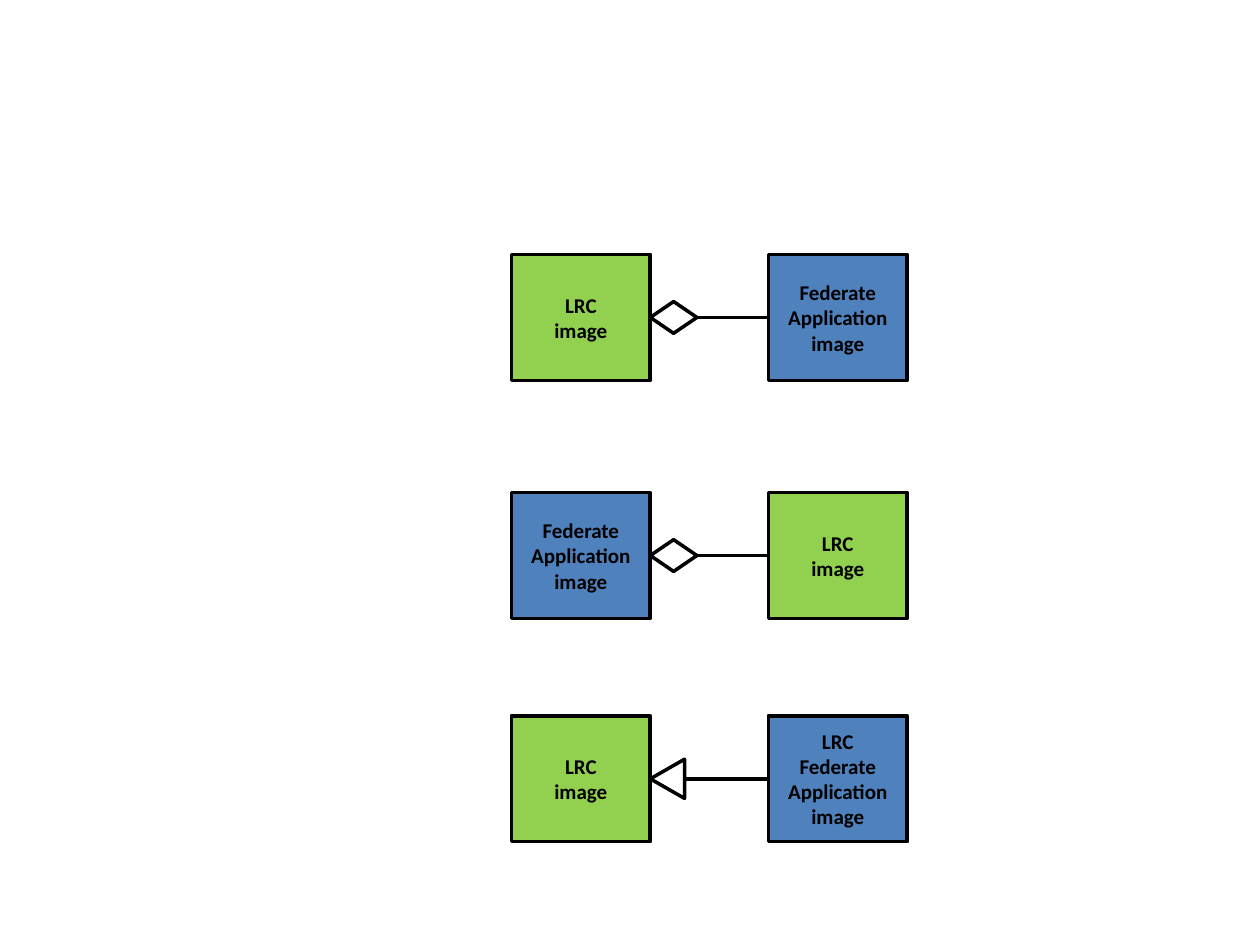
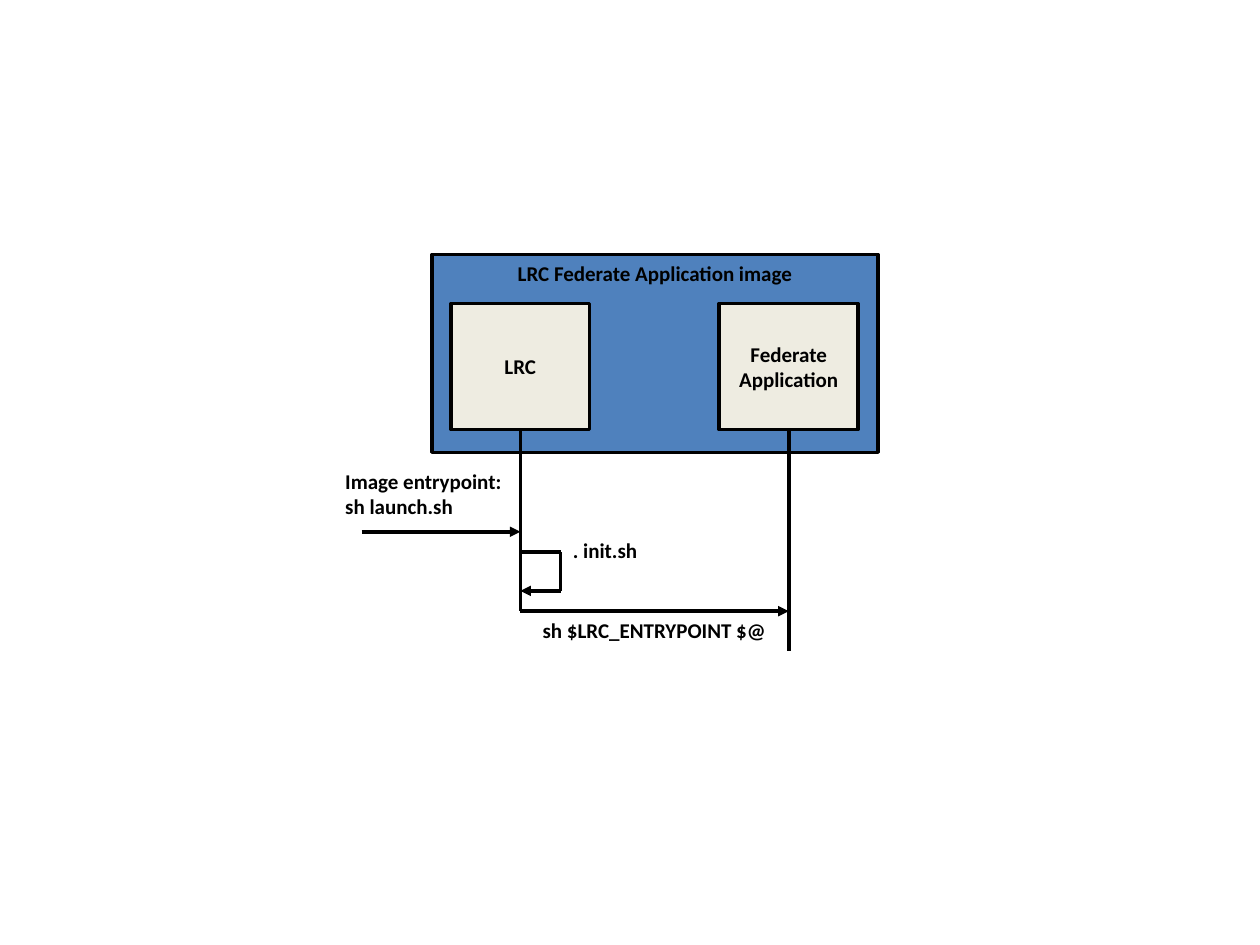
from lxml.etree import SubElement
from pptx import Presentation
from pptx.dml.color import RGBColor
from pptx.enum.shapes import MSO_CONNECTOR, MSO_SHAPE
from pptx.enum.text import MSO_ANCHOR, MSO_AUTO_SIZE, PP_ALIGN
from pptx.oxml.ns import qn
from pptx.util import Cm, Pt

BLACK = RGBColor(0x00, 0x00, 0x00)
WHITE = RGBColor(0xFF, 0xFF, 0xFF)
GREEN = RGBColor(0x92, 0xD0, 0x50)
BLUE = RGBColor(0x4F, 0x81, 0xBD)
CREAM = RGBColor(0xEE, 0xEC, 0xE1)

# Lengths in cm
BOX_W, BOX_H = 2.8, 2.54
DIAMOND_W, DIAMOND_H = 0.94, 0.64
TRI_BASE, TRI_DEPTH = 0.79, 0.69


def write(tf, text, size=12, bold=True, color=BLACK, font="Calibri",
          align=PP_ALIGN.CENTER):
    """Fill a text frame, one paragraph per line of text."""
    for i, line in enumerate(text.split("\n")):
        p = tf.paragraphs[0] if i == 0 else tf.add_paragraph()
        p.alignment = align
        r = p.add_run()
        r.text = line
        r.font.name, r.font.size, r.font.bold = font, Pt(size), bold
        r.font.color.rgb = color


class Diagram:
    """Holds the drawing style, the current slide and the current group."""

    line_color = BLACK
    line_width = Pt(2)

    def __init__(self, prs):
        self.prs = prs

    def new_slide(self):
        self.s = self.prs.slides.add_slide(self.prs.slide_layouts[6])

    def new_group(self):
        self.group = self.s.shapes.add_group_shape()

    def outline(self, sp):
        sp.line.color.rgb = self.line_color
        sp.line.width = self.line_width

    def shape(self, kind, x, y, w, h, fill=WHITE):
        sp = self.group.shapes.add_shape(kind, Cm(x), Cm(y), Cm(w), Cm(h))
        sp.shadow.inherit = False
        sp.fill.solid()
        sp.fill.fore_color.rgb = fill
        self.outline(sp)
        return sp

    def box(self, text, x, y, fill, w=BOX_W, h=BOX_H, anchor=MSO_ANCHOR.MIDDLE):
        tf = self.shape(MSO_SHAPE.RECTANGLE, x, y, w, h, fill).text_frame
        tf.word_wrap = True
        tf.vertical_anchor = anchor
        write(tf, text)

    def line(self, x1, y1, x2, y2, arrow=False):
        c = self.group.shapes.add_connector(
            MSO_CONNECTOR.STRAIGHT, Cm(x1), Cm(y1), Cm(x2), Cm(y2))
        self.outline(c)
        if arrow:
            SubElement(c.line._get_or_add_ln(), qn("a:tailEnd"), type="triangle")
        SubElement(c._element.spPr, qn("a:effectLst"))

    def label(self, text, x, y, w, h):
        tb = self.group.shapes.add_textbox(Cm(x), Cm(y), Cm(w), Cm(h))
        tf = tb.text_frame
        tf.word_wrap = False
        tf.auto_size = MSO_AUTO_SIZE.SHAPE_TO_FIT_TEXT
        write(tf, text, align=PP_ALIGN.LEFT)

    def diamond(self, x, y):
        """Aggregation mark whose left tip is at x, y."""
        self.shape(MSO_SHAPE.FLOWCHART_DECISION, x, y - DIAMOND_H / 2,
                   DIAMOND_W, DIAMOND_H)

    def triangle(self, x, y):
        """Inheritance mark whose left tip is at x, y."""
        sp = self.shape(MSO_SHAPE.ISOSCELES_TRIANGLE,
                        x + (TRI_DEPTH - TRI_BASE) / 2, y - TRI_DEPTH / 2,
                        TRI_BASE, TRI_DEPTH)
        sp.rotation = 270


prs = Presentation()
prs.slide_width, prs.slide_height = Cm(25.4), Cm(19.05)
d = Diagram(prs)

# Slide 1: three ways to relate the images
LRC = ("LRC\nimage", GREEN)
FEDERATE = ("Federate Application image", BLUE)
COMBINED = ("LRC\nFederate Application image", BLUE)
LEFT_X, RIGHT_X = 10.31, 15.49
tip_x = LEFT_X + BOX_W

d.new_slide()
for top, left, right, mark, mark_w in (
        (5.13, LRC, FEDERATE, d.diamond, DIAMOND_W),
        (9.93, FEDERATE, LRC, d.diamond, DIAMOND_W),
        (14.43, LRC, COMBINED, d.triangle, TRI_DEPTH)):
    mid_y = top + BOX_H / 2
    d.new_group()
    for x, (text, fill) in ((LEFT_X, left), (RIGHT_X, right)):
        d.box(text, x, top, fill)
    d.line(tip_x + mark_w, mid_y, RIGHT_X, mid_y)
    mark(tip_x, mid_y)

# Slide 2: launch sequence inside the combined image
LRC_X, FED_X, PART_Y = 9.09, 14.5, 6.12
lrc_mid, fed_mid = LRC_X + BOX_W / 2, FED_X + BOX_W / 2
life_y = PART_Y + BOX_H
ENTRY_Y, INIT_Y, RETURN_Y, CALL_Y, END_Y = 10.72, 11.13, 11.91, 12.32, 13.13
loop_x = lrc_mid + 0.81

d.new_slide()
d.new_group()
d.box("LRC Federate Application image", 8.71, 5.13, BLUE, w=8.99, h=3.99,
      anchor=MSO_ANCHOR.TOP)
d.box("LRC", LRC_X, PART_Y, CREAM)
d.box("Federate Application", FED_X, PART_Y, CREAM)

# Lifelines
d.line(lrc_mid, life_y, lrc_mid, CALL_Y)
d.line(fed_mid, life_y, fed_mid, END_Y)

# Messages
d.line(lrc_mid, CALL_Y, fed_mid, CALL_Y, arrow=True)
d.line(7.29, ENTRY_Y, lrc_mid, ENTRY_Y, arrow=True)
d.label("Image entrypoint:\nsh launch.sh", 6.71, 9.32, 3.71, 1.27)
d.label("sh $LRC_ENTRYPOINT $@", 10.69, CALL_Y, 5.08, 0.76)

# Call of the LRC to itself
d.line(lrc_mid, INIT_Y, loop_x, INIT_Y)
d.line(loop_x, INIT_Y, loop_x, RETURN_Y)
d.line(loop_x, RETURN_Y, lrc_mid, RETURN_Y, arrow=True)
d.label(". init.sh", loop_x, ENTRY_Y, 1.83, 0.76)

prs.save("out.pptx")
